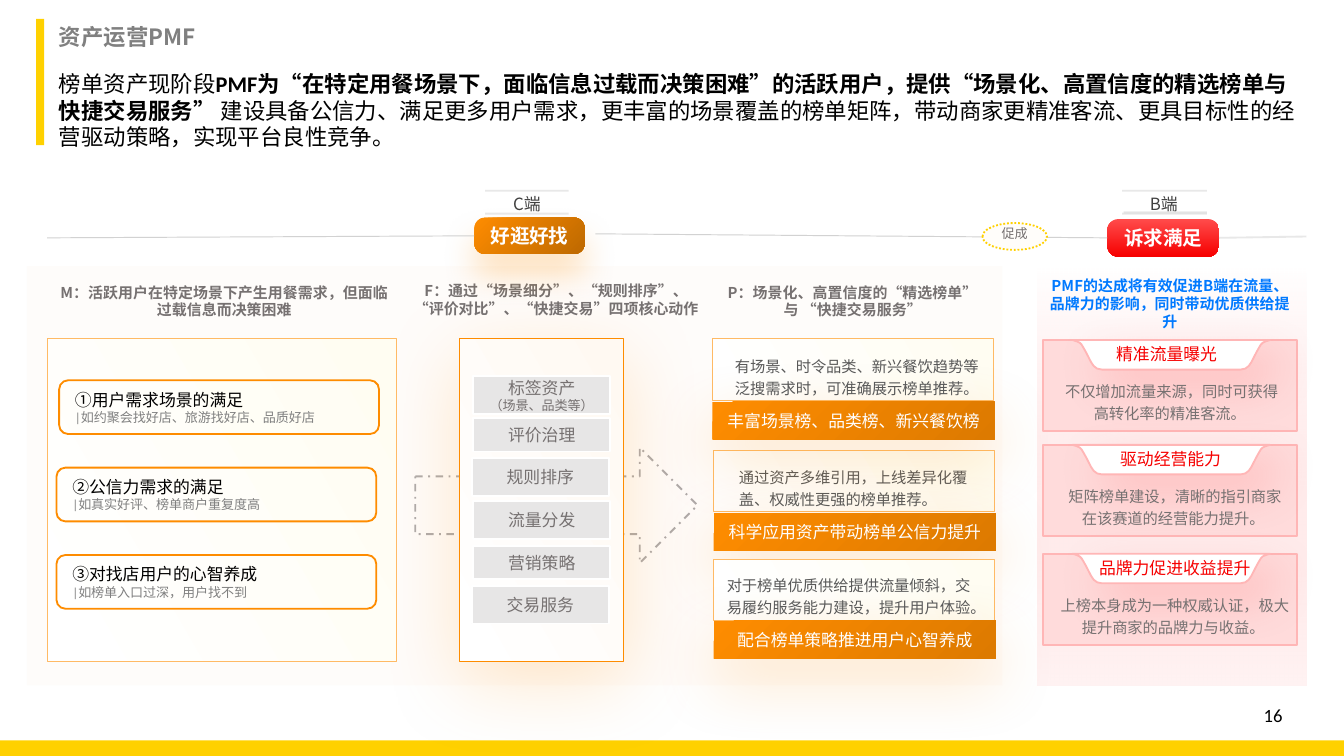
from pptx import Presentation
from pptx.dml.color import RGBColor
from pptx.enum.dml import MSO_LINE
from pptx.enum.lang import MSO_LANGUAGE_ID
from pptx.enum.shapes import MSO_CONNECTOR, MSO_SHAPE
from pptx.enum.text import MSO_ANCHOR, PP_ALIGN
from pptx.oxml import parse_xml
from pptx.oxml.ns import nsdecls, qn
from pptx.util import Pt
from lxml import etree

PX = 9144  # 100 px to the inch
CJK = "Noto Sans CJK SC"
RECT, ROUND = MSO_SHAPE.RECTANGLE, MSO_SHAPE.ROUNDED_RECTANGLE
LEFT, CENTER, RIGHT = PP_ALIGN.LEFT, PP_ALIGN.CENTER, PP_ALIGN.RIGHT
TOP, MIDDLE = MSO_ANCHOR.TOP, MSO_ANCHOR.MIDDLE
rgb = RGBColor.from_string
GREY, RED, ORANGE = "767171", "F60000", "FE8C00"
# Gradients: ((position, colour, opacity) stops, angle); no angle means from the corner
CREAM = ([(1, "FFFFFF", 100), (100, "FFFDF2", 100)], 330)
AMBER = ([(0, "DD7A00", 100), (100, ORANGE, 100)], None)

prs = Presentation()
prs.slide_width, prs.slide_height = 1000 * PX, round(562.5 * PX)
shapes = prs.slides.add_slide(prs.slide_layouts[6]).shapes


def style(s, fill=None, line=None, width=1, shadow=None):
    """Fill is a hex string, a gradient or None; shadow is colour, opacity, blur, distance, angle."""
    s.shadow.inherit = False
    spPr = s._element.spPr
    if fill is None:
        s.fill.background()
    elif isinstance(fill, str):
        s.fill.solid()
        s.fill.fore_color.rgb = rgb(fill)
    else:
        stops, angle = fill
        s.fill.gradient()
        old = spPr.find(qn("a:gradFill"))
        gs = "".join(f'<a:gs pos="{pos * 1000}"><a:srgbClr val="{c}"><a:alpha val="{a * 1000}"/>'
                     f'</a:srgbClr></a:gs>' for pos, c, a in stops)
        way = (f'<a:lin ang="{angle * 60000}" scaled="0"/>' if angle is not None else
               '<a:path path="circle"><a:fillToRect l="100000" t="100000"/></a:path>')
        spPr.replace(old, parse_xml(f'<a:gradFill {nsdecls("a")} rotWithShape="1">'
                                    f'<a:gsLst>{gs}</a:gsLst>{way}</a:gradFill>'))
    if line:
        s.line.color.rgb = rgb(line)
        s.line.width = Pt(width)
    else:
        s.line.fill.background()
    if shadow:
        c, a, blur, dist, angle = shadow
        spPr.find(qn("a:effectLst")).append(parse_xml(
            f'<a:outerShdw {nsdecls("a")} blurRad="{blur * 12700}" dist="{dist * 12700}" '
            f'dir="{angle * 60000}" algn="t" rotWithShape="0"><a:srgbClr val="{c}">'
            f'<a:alpha val="{a * 1000}"/></a:srgbClr></a:outerShdw>'))
    return s


def box(kind, x, y, w, h, *paras, al=CENTER, anchor=MIDDLE, spacing=None, font=CJK, **look):
    """Add a shape, or a text box if kind is None; a paragraph lists (text, size, colour, bold) runs."""
    at = [v * PX for v in (x, y, w, h)]
    s = shapes.add_textbox(*at) if kind is None else style(shapes.add_shape(kind, *at), **look)
    tf = s.text_frame
    tf.word_wrap = True
    tf.vertical_anchor = anchor
    for i, runs in enumerate(paras):
        p = tf.add_paragraph() if i else tf.paragraphs[0]
        p.alignment = al
        if spacing:
            p.line_spacing = spacing
        for text, size, color, bold in runs:
            r = p.add_run()
            r.text = text
            r.font.size, r.font.bold, r.font.name = Pt(size), bold, font
            r.font.color.rgb = rgb(color)
            r.font.language_id = MSO_LANGUAGE_ID.SIMPLIFIED_CHINESE
            etree.SubElement(r._r.rPr, qn("a:ea")).set("typeface", CJK)
    return s


# Frame, title and summary
box(None, 846, 518, 118, 28, [("16", 10, "000000", False)], al=RIGHT, font="Calibri")
box(RECT, 0, 551, 1000, 12, fill="FFD100")
box(RECT, 27, 14, 6, 94, fill="FFD100")
box(None, 34, 14, 939, 29, [("资产运营PMF", 12, "808080", True)], al=LEFT, spacing=0.9)
box(None, 34, 47, 945, 71, [
    ("榜单资产现阶段", 12, "000000", False),
    ("PMF为“在特定用餐场景下，面临信息过载而决策困难”的活跃用户，提供“场景化、高置信度的精选榜单与快捷交易服务”",
     12, "000000", True),
    (" 建设具备公信力、满足更多用户需求，更丰富的场景覆盖的榜单矩阵，带动商家更精准客流、更具目标性的经营驱动策略，实现平台良性竞争。",
     12, "000000", False)], al=LEFT, anchor=TOP, font="Calibri")

# Backdrop, arrow and the F panel
box(RECT, 20, 198, 726, 312, fill=([(0, ORANGE, 2), (100, ORANGE, 2)], 0))
arrow = box(MSO_SHAPE.RIGHT_ARROW, 309, 333, 210, 86, line="AFABAB")
arrow.line.dash_style = MSO_LINE.DASH_DOT
box(RECT, 342, 252, 122, 240, fill=([(1, "FFFFFF", 100), (100, "FFF9F2", 100)], 330),
    line=ORANGE, width=0.5, shadow=(ORANGE, 20, 44, 11, 90))

# Column headings
for x, y, w, h, text, color in [
        (530, 210, 209, 28, "P：场景化、高置信度的“精选榜单” 与 “快捷交易服务”", GREY),
        (297, 209, 234, 28, "F：通过“场景细分”、“规则排序”、“评价对比”、“快捷交易”四项核心动作", GREY),
        (34, 209, 266, 30, "M：活跃用户在特定场景下产生用餐需求，但面临过载信息而决策困难", GREY)]:
    box(None, x, y, w, h, [(text, 8, color, True)])

# F: action chips
for x, y, h, text, note in [
        (352, 280, 28, "标签资产", "（场景、品类等）"), (352, 311, 25, "评价治理", None),
        (351, 341, 28, "规则排序", None), (352, 373, 28, "流量分发", None),
        (352, 406, 25, "营销策略", None), (351, 436, 28, "交易服务", None)]:
    paras = [[(text, 9, GREY, False)]]
    if note:
        paras.append([(note, 7, GREY, False)])
    box(RECT, x, y, 102, h, *paras, fill="E7E6E6", line="FFFFFF")

# M: user needs
box(RECT, 35, 252, 260, 240, fill=CREAM, line="FFBA65", width=0.5)
for i, (x, text, note) in enumerate([
        (44, "①用户需求场景的满足", "|如约聚会找好店、旅游找好店、品质好店"),
        (42, "②公信力需求的满足", "|如真实好评、榜单商户重复度高"),
        (42, "③对找店用户的心智养成", "|如榜单入口过深，用户找不到")]):
    box(ROUND, x, 283 + 65 * i, 238, 40, [(text, 9, "000000", False)],
        [(note, 7, "808080", False)], al=LEFT, font="Calibri", line=ORANGE)

# P: products, the top one in front
for x, y, bar_y, text_x, text_y, text_w, text, title in [
        (531, 335, 382, 540, 341, 199, "通过资产多维引用，上线差异化覆盖、权威性更强的榜单推荐。",
         "科学应用资产带动榜单公信力提升"),
        (531, 416, 462, 531, 421, 206, "对于榜单优质供给提供流量倾斜，交易履约服务能力建设，提升用户体验。",
         "配合榜单策略推进用户心智养成"),
        (530, 252, 299, 537, 258, 210, "有场景、时令品类、新兴餐饮趋势等泛搜需求时，可准确展示榜单推荐。",
         "丰富场景榜、品类榜、新兴餐饮榜")]:
    box(RECT, x, y, 209, 46, fill=CREAM, line="FFBA65", width=0.5)
    box(RECT, x, bar_y, 210, 28, [(title, 9, "FFFFFF", False)], fill=AMBER,
        shadow=(ORANGE, 24, 37, 11, 90))
    box(None, text_x, text_y, text_w, 41, [(text, 8.2, "595959", False)],
        al=LEFT, anchor=TOP, spacing=1.2)

# Side labels and pills
for x, text in [(357, "C端"), (831, "B端")]:
    s = box(None, x, 147, 70, 36, [(text, 9, "404040", False)], anchor=TOP, spacing=0.83)
    tf = s.text_frame
    tf.margin_left = tf.margin_right = tf.margin_top = tf.margin_bottom = 0
pills = []
for x, y, w, h, text, fill, shadow in [
        (353, 162, 82, 27, "好逛好找", ([(0, "BE6900", 100), (100, ORANGE, 100)], None),
         (ORANGE, 26, 18, 11, 90)),
        (824, 163, 83, 28, "诉求满足", ([(3, "FF4949", 100), (100, RED, 100)], 90), None)]:
    s = box(ROUND, x, y, w, h, [(text, 10.5, "FFFFFF", True)], fill=fill, shadow=shadow)
    s.adjustments[0] = 0.29
    s.text_frame.margin_left = s.text_frame.margin_right = 0
    pills.append(s)
c_pill, b_pill = pills

# Rules; the long ones meet a pill at the given side
for x1, y1, x2, y2, width, alpha, pill, side in [
        (423, 159, 361, 159, 1, 34, None, 0), (423, 142, 361, 142, 1, 34, None, 0),
        (898, 159, 835, 159, 1, 34, None, 0), (898, 142, 835, 142, 1, 34, None, 0),
        (898, 158, 836, 158, 1, 34, None, 0),
        (824, 177, 443, 174, 0.5, 70, b_pill, 1),
        (353, 176, 35, 177, 0.5, 70, c_pill, 1),
        (907, 177, 972, 176, 1, 34, b_pill, 3)]:
    c = shapes.add_connector(MSO_CONNECTOR.STRAIGHT, x1 * PX, y1 * PX, x2 * PX, y2 * PX)
    c.line.color.rgb = rgb("BFBFBF")
    c.line.width = Pt(width)
    color = c._element.spPr.find(".//" + qn("a:srgbClr"))
    etree.SubElement(color, qn("a:alpha")).set("val", str(alpha * 1000))
    etree.SubElement(c._element.spPr, qn("a:effectLst"))
    if pill:
        c.begin_connect(pill, side)

# Merchant side: cards with a curved tab; the right edge is two curves, the left its mirror
box(RECT, 772, 198, 200, 312, fill=([(0, "FFDBDB", 35), (100, "FF4949", 0)], 270))
edge = []
for curve in [((147, 0), (140, 2), (141, 2), (137, 9)),
              ((137, 9), (133, 16), (132, 22), (125, 22))]:
    for t in (0, 0.2, 0.4, 0.6, 0.8, 1):
        weights = ((1 - t) ** 3, 3 * t * (1 - t) ** 2, 3 * t * t * (1 - t), t ** 3)
        edge.append([sum(k * pt[axis] for k, pt in zip(weights, curve)) for axis in (0, 1)])
outline = edge + [(147 - x, y) for x, y in reversed(edge)]
for y, title_x, title_w, title, text_x, text_y, text_w, text in [
        (253, 820, 96, "精准流量曝光", 776, 277, 189, " 不仅增加流量来源，同时可获得高转化率的精准客流。"),
        (331, 823, 96, "驱动经营能力", 781, 355, 184, " 矩阵榜单建设，清晰的指引商家在该赛道的经营能力提升。"),
        (412, 805, 138, "品牌力促进收益提升", 773, 436, 200, " 上榜本身成为一种权威认证，极大提升商家的品牌力与收益。")]:
    box(RECT, 776, y, 189, 68, fill="FFDBDB", line="FFB6B6")
    points = [((798 + dx) * PX, (y + dy) * PX) for dx, dy in outline]
    fb = shapes.build_freeform(*points[0])
    fb.add_line_segments(points[1:], close=True)
    style(fb.convert_to_shape(), fill="FFFFFF", line="FFB6B6", shadow=("FF4949", 20, 24, 13, 45))
    box(None, title_x, y - 2, title_w, 25, [(title, 9, RED, False)], anchor=TOP)
    box(None, text_x, text_y, text_w, 41, [(text, 8.2, GREY, False)], anchor=TOP, spacing=1.2)

# Link between the two sides, and the merchant heading
oval = box(MSO_SHAPE.OVAL, 731, 166, 48, 20, fill="FFFDFA", line="FFD100")
oval.line.dash_style = MSO_LINE.ROUND_DOT
box(None, 703, 165, 104, 20, [("促成", 7, GREY, False)], anchor=TOP, spacing=0.83)
box(None, 768, 212, 205, 28,
    [("PMF的达成将有效促进B端在流量、品牌力的影响，同时带动优质供给提升", 8, "0079FF", True)])

prs.save("out.pptx")
